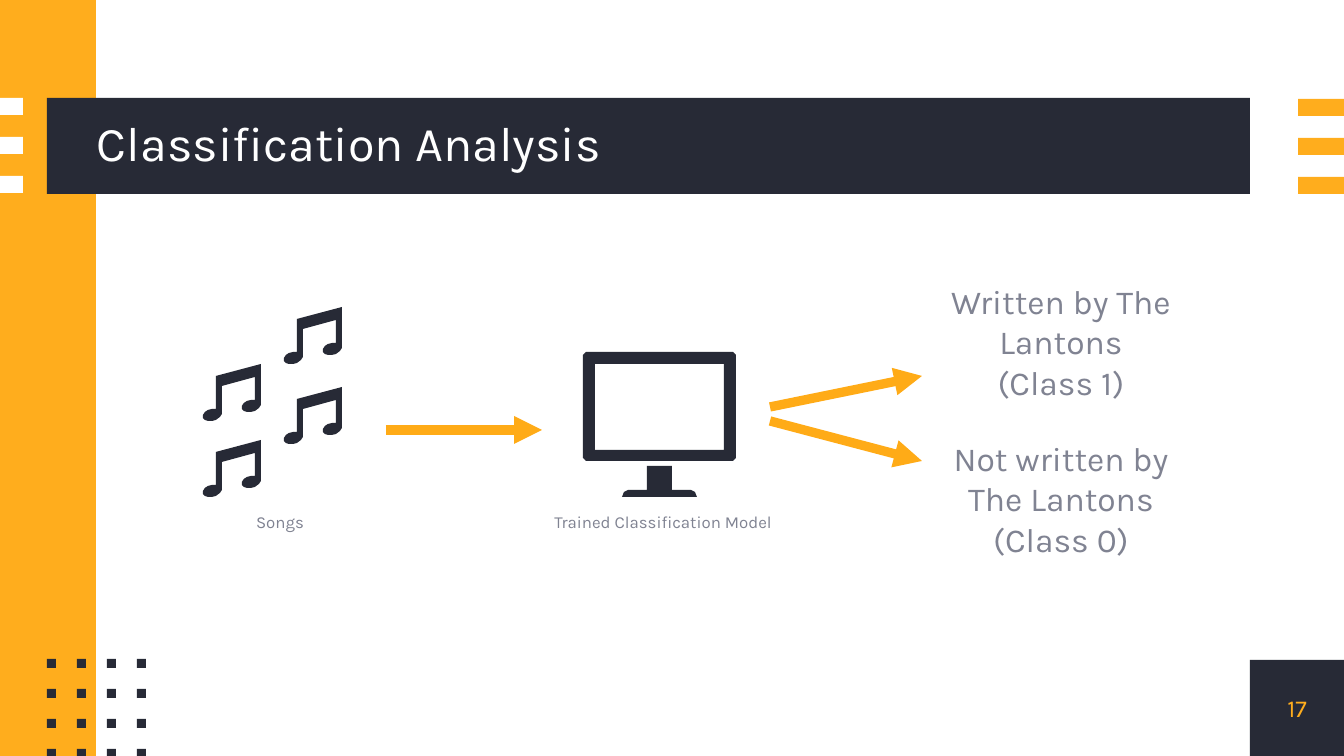
"""Build the Classification Analysis slide."""
import pptx
import pptx.dml.color
import pptx.enum.shapes
import pptx.enum.text
import pptx.oxml
import pptx.oxml.ns
import pptx.util

RGB = pptx.dml.color.RGBColor
DARK = RGB(0x27, 0x2A, 0x36)
GOLD = RGB(0xFF, 0xAD, 0x1D)
AMBER = RGB(0xFF, 0xAB, 0x17)
GREY = RGB(0x80, 0x83, 0x92)
WHITE = RGB(0xFF, 0xFF, 0xFF)
PX = 914400 / 134.4
ANCHOR = pptx.enum.text.MSO_ANCHOR
ALIGN = pptx.enum.text.PP_ALIGN

deck = pptx.Presentation()
deck.slide_width = round(1344 * PX)
deck.slide_height = round(756 * PX)
slide = deck.slides.add_slide(deck.slide_layouts[5])
shapes = slide.shapes


def paint(shape, color):
    shape.shadow.inherit = False
    shape.fill.solid()
    shape.fill.fore_color.rgb = color
    shape.line.fill.background()


def write(shape, box, text, size, color, align, anchor):
    shape.left, shape.top, shape.width, shape.height = [round(n * PX) for n in box]
    frame = shape.text_frame
    frame.text = text
    frame.word_wrap = True
    frame.auto_size = pptx.enum.text.MSO_AUTO_SIZE.NONE
    frame.vertical_anchor = anchor
    frame.margin_left = frame.margin_top = frame.margin_right = frame.margin_bottom = 0
    for line in frame.paragraphs:
        line.alignment = align
        for run in line.runs:
            run.font.name = "Karla"
            run.font.size = pptx.util.Pt(size)
            run.font.color.rgb = color


bars = [
    (1250, 660, 94, 96, DARK),
    (0, 0, 96, 756, GOLD),
    (47, 98, 1203, 96, DARK),
]
for row in range(3):
    bars.append((0, 98 + 39 * row, 23, 17, WHITE))
    bars.append((1298, 99 + 39 * row, 46, 17, GOLD))
for row in range(4):
    for col in range(4):
        bars.append((47 + 30 * col, 659 + 30 * row, 9, 9, DARK))
for *box, color in bars:
    rect = shapes.add_shape(
        pptx.enum.shapes.MSO_SHAPE.RECTANGLE, *[round(n * PX) for n in box]
    )
    paint(rect, color)

title = shapes.title
shapes._spTree.append(title._element)
write(title, (97, 98, 1153, 96), "Classification Analysis", 26, WHITE, ALIGN.LEFT, ANCHOR.MIDDLE)
title.text_frame.paragraphs[0].line_spacing = 0.9

head = [(13, 45), (9, 45), (5, 46), (2, 48), (0, 51), (0, 54), (2, 56),
        (5, 57), (9, 57), (13, 56), (17, 53), (19, 50)]
note = [(58, 0), (13, 12), *head, (19, 22), (52, 13)]
note += [(x + 39, y - 9) for x, y in head]
stand = [(647, 466), (647, 490), (628, 490), (624, 492), (622, 497), (697, 497),
         (695, 492), (691, 490), (672, 490), (672, 466)]
frame = [(586, 352), (583, 355), (583, 458), (586, 461), (733, 461), (736, 458),
         (736, 355), (733, 352)]
screen = [(595, 364), (724, 364), (724, 450), (595, 450)]
icons = [[stand], [frame, screen]]
for left, top in [(203, 364), (203, 440), (284, 387), (284, 307)]:
    icons.append([[(left + x, top + y) for x, y in note]])
for first, *rest in icons:
    pen = shapes.build_freeform(*first[0], scale=PX)
    pen.add_line_segments(first[1:])
    for loop in rest:
        pen.move_to(*loop[0])
        pen.add_line_segments(loop[1:])
    paint(pen.convert_to_shape(), DARK)

for ends in [(386, 430, 542, 430), (770, 407, 922, 376), (770, 421, 922, 461)]:
    arrow = shapes.add_connector(
        pptx.enum.shapes.MSO_CONNECTOR.STRAIGHT, *[round(n * PX) for n in ends]
    )
    arrow.line.color.rgb = AMBER
    arrow.line.width = pptx.util.Pt(5)
    tip = pptx.oxml.parse_xml(
        f'<a:tailEnd {pptx.oxml.ns.nsdecls("a")} type="triangle"/>'
    )
    arrow.line._get_or_add_ln().append(tip)
    calm = pptx.oxml.parse_xml(f'<a:effectLst {pptx.oxml.ns.nsdecls("a")}/>')
    arrow._element.spPr.append(calm)

labels = [
    ((1250, 660, 94, 96), "17", 13, GOLD, ANCHOR.MIDDLE),
    ((185, 454, 190, 78), "Songs", 9, GREY, ANCHOR.BOTTOM),
    ((551, 454, 224, 78), "Trained Classification Model", 9, GREY, ANCHOR.BOTTOM),
    ((941, 324, 240, 78), "Written by The Lantons\n(Class 1)", 18, GREY, ANCHOR.BOTTOM),
    ((941, 481, 240, 78), "Not written by The Lantons (Class 0)", 18, GREY, ANCHOR.BOTTOM),
]
for box, text, size, color, anchor in labels:
    label = shapes.add_textbox(0, 0, 0, 0)
    write(label, box, text, size, color, ALIGN.CENTER, anchor)

deck.save("out.pptx")
